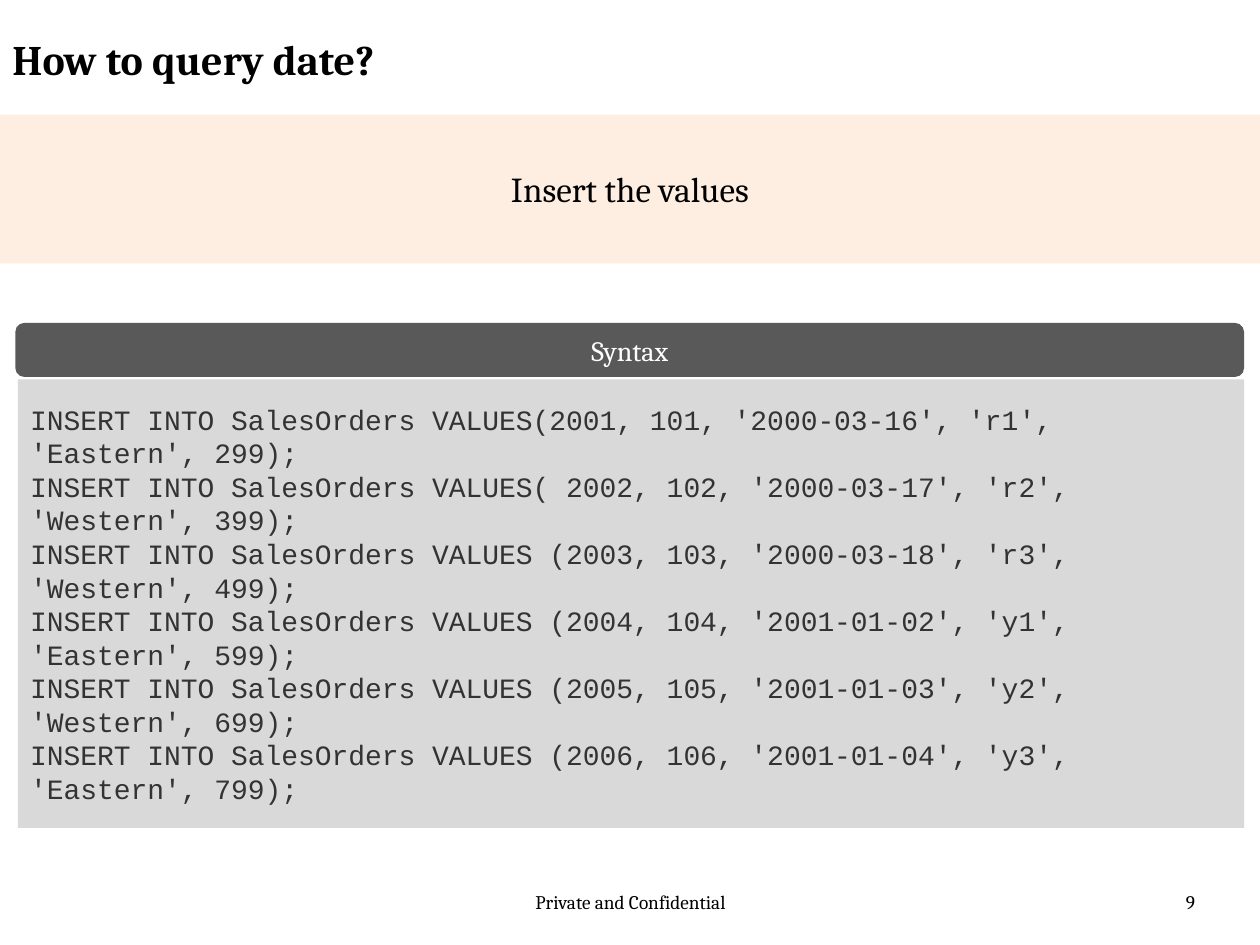
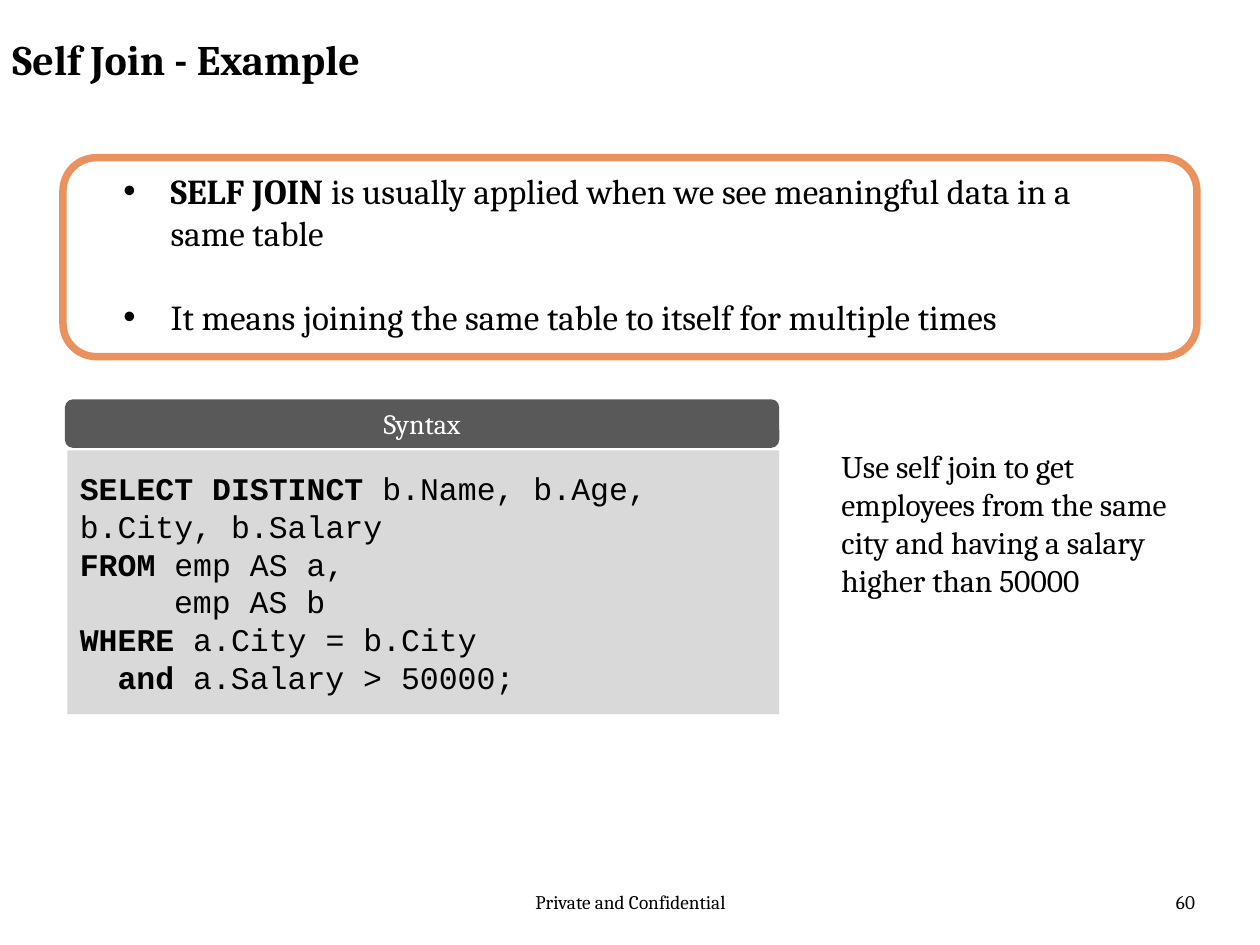
import dataclasses

import pptx
import pptx.dml.color
import pptx.enum.shapes
import pptx.enum.text
import pptx.oxml
import pptx.oxml.ns
import pptx.util

Cm = pptx.util.Cm
Pt = pptx.util.Pt
ALIGN = pptx.enum.text.PP_ALIGN
ANCHOR = pptx.enum.text.MSO_ANCHOR
SHAPE = pptx.enum.shapes.MSO_SHAPE


@dataclasses.dataclass(frozen=True)
class Theme:
    # Fonts
    serif: str = "Cambria"
    mono: str = "Courier New"
    # Colours
    ink: str = "000000"
    code_ink: str = "333333"
    white: str = "FFFFFF"
    band: str = "FDEADA"
    header: str = "595959"
    code_fill: str = "D9D9D9"
    outline: str = "EA915D"
    # Type sizes in points
    title: int = 24
    lead: int = 20
    body: int = 18
    small: int = 16
    footer: int = 11


@dataclasses.dataclass(frozen=True)
class Line:
    """One paragraph: a bold start, a plain rest and a left indent in cm."""
    bold: str = ""
    plain: str = ""
    indent: float = 0


THEME = Theme()
FOOTER = "Private and Confidential"

INSERTS = [
    "INSERT INTO SalesOrders VALUES(2001, 101, '2000-03-16', 'r1', 'Eastern', 299);",
    "INSERT INTO SalesOrders VALUES( 2002, 102, '2000-03-17', 'r2', 'Western', 399);",
    "INSERT INTO SalesOrders VALUES (2003, 103, '2000-03-18', 'r3', 'Western', 499);",
    "INSERT INTO SalesOrders VALUES (2004, 104, '2001-01-02', 'y1', 'Eastern', 599);",
    "INSERT INTO SalesOrders VALUES (2005, 105, '2001-01-03', 'y2', 'Western', 699);",
    "INSERT INTO SalesOrders VALUES (2006, 106, '2001-01-04', 'y3', 'Eastern', 799);",
]

CHARACTER = 0.38  # width in cm of one code character at body size
SELF_JOIN = [
    Line("SELECT DISTINCT ", "b.Name, b.Age, b.City, b.Salary"),
    Line("FROM", " emp AS a,"),
    Line("", "emp AS b", 5 * CHARACTER),
    Line("WHERE ", "a.City = b.City"),
    Line("and ", "a.Salary > 50000;", 2 * CHARACTER),
]

BULLETS = [
    Line("SELF JOIN ", "is usually applied when we see meaningful data in a same table"),
    Line("", "It means joining the same table to itself for multiple times"),
]


def rgb(colour):
    return pptx.dml.color.RGBColor.from_string(colour)


def write(box, lines, size, font=THEME.serif, colour=THEME.ink,
          align=ALIGN.LEFT, anchor=ANCHOR.TOP):
    """Fill a box with lines and return its paragraphs."""
    frame = box.text_frame
    frame.word_wrap = True
    frame.vertical_anchor = anchor
    for index, line in enumerate(lines):
        para = frame.add_paragraph() if index else frame.paragraphs[0]
        para.alignment = align
        if line.indent:
            para._p.get_or_add_pPr().set("marL", str(Cm(line.indent)))
        for text, bold in ((line.bold, True), (line.plain, False)):
            if text:
                span = para.add_run()
                span.text = text
                span.font.name = font
                span.font.size = Pt(size)
                span.font.bold = bold
                span.font.color.rgb = rgb(colour)
    return frame.paragraphs


def add_text(page, place, lines, size, align=ALIGN.LEFT):
    box = page.shapes.add_textbox(*map(Cm, place))
    return write(box, lines, size, align=align)


def add_block(page, kind, place, fill=None):
    """Add a flat shape without a line; no fill colour leaves it hollow."""
    box = page.shapes.add_shape(kind, *map(Cm, place))
    box.shadow.inherit = False
    box.line.fill.background()
    if fill:
        box.fill.solid()
        box.fill.fore_color.rgb = rgb(fill)
    else:
        box.fill.background()
    return box


def add_band(page, text):
    """Full-width translucent band with a centred statement."""
    box = add_block(page, SHAPE.RECTANGLE, (0, 2.31, 25.4, 3), THEME.band)
    colour = box.fill._xPr.find(".//" + pptx.oxml.ns.qn("a:srgbClr"))
    alpha = pptx.oxml.parse_xml(
        "<a:alpha %s val='79000'/>" % pptx.oxml.ns.nsdecls("a"))
    colour.append(alpha)
    write(box, [Line(plain=text)], THEME.lead, align=ALIGN.CENTER,
          anchor=ANCHOR.MIDDLE)


def add_syntax_panel(page, place, header_height, lines, size, colour):
    """Dark rounded header over a grey block of code."""
    left, top, width, height = place
    gap = 0.05
    header = add_block(page, SHAPE.ROUNDED_RECTANGLE,
                       (left, top, width, header_height), THEME.header)
    write(header, [Line(plain="Syntax")], THEME.small, colour=THEME.white,
          align=ALIGN.CENTER, anchor=ANCHOR.MIDDLE)
    code_top = header_height + gap
    code = add_block(page, SHAPE.RECTANGLE,
                     (left + gap, top + code_top, width - gap, height - code_top),
                     THEME.code_fill)
    write(code, lines, size, THEME.mono, colour, anchor=ANCHOR.MIDDLE)


def add_bullet_panel(page, lines):
    """Rounded outline around a bulleted list."""
    frame = add_block(page, SHAPE.ROUNDED_RECTANGLE, (1.27, 3.18, 22.86, 4.01))
    frame.line.color.rgb = rgb(THEME.outline)
    frame.line.width = Pt(4.25)
    paras = add_text(page, (2.24, 3.3, 19.79, 3.68), lines, THEME.lead)
    for index, para in enumerate(paras):
        para.space_before = Pt(24 if index else 0)
        properties = para._p.get_or_add_pPr()
        properties.set("marL", str(Cm(0.95)))
        properties.set("indent", str(-Cm(0.95)))
        for markup in ("<a:buFont %s typeface='Arial'/>", "<a:buChar %s char='•'/>"):
            properties.append(
                pptx.oxml.parse_xml(markup % pptx.oxml.ns.nsdecls("a")))


def add_page(deck, title, number):
    """Blank page with the shared title, footer and page number."""
    page = deck.slides.add_slide(deck.slide_layouts[6])
    add_text(page, (8.69, 17.83, 8.05, 1.02), [Line(plain=FOOTER)],
             THEME.footer, ALIGN.CENTER)
    add_text(page, (18.42, 17.83, 5.92, 1.02), [Line(plain=str(number))],
             THEME.footer, ALIGN.RIGHT)
    add_text(page, (0, 0.56, 19.28, 1.57), [Line(bold=title)], THEME.title)
    return page


def main():
    deck = pptx.Presentation()
    deck.slide_width, deck.slide_height = Cm(25.4), Cm(19.05)

    # Inserting dates
    page = add_page(deck, "How to query date?", 9)
    add_band(page, "Insert the values")
    add_syntax_panel(page, (0.31, 6.51, 24.77, 10.18), 1.09,
                     [Line(plain=text) for text in INSERTS],
                     THEME.small, THEME.code_ink)

    # Self join
    page = add_page(deck, "Self Join - Example", 60)
    add_bullet_panel(page, BULLETS)
    add_syntax_panel(page, (1.31, 8.05, 14.4, 6.35), 0.98,
                     SELF_JOIN, THEME.body, THEME.ink)
    add_text(page, (16.71, 8.89, 7.37, 3.33),
             [Line(plain="Use self join to get employees from the same city "
                         "and having a salary higher than 50000")], THEME.body)

    deck.save("out.pptx")


main()
